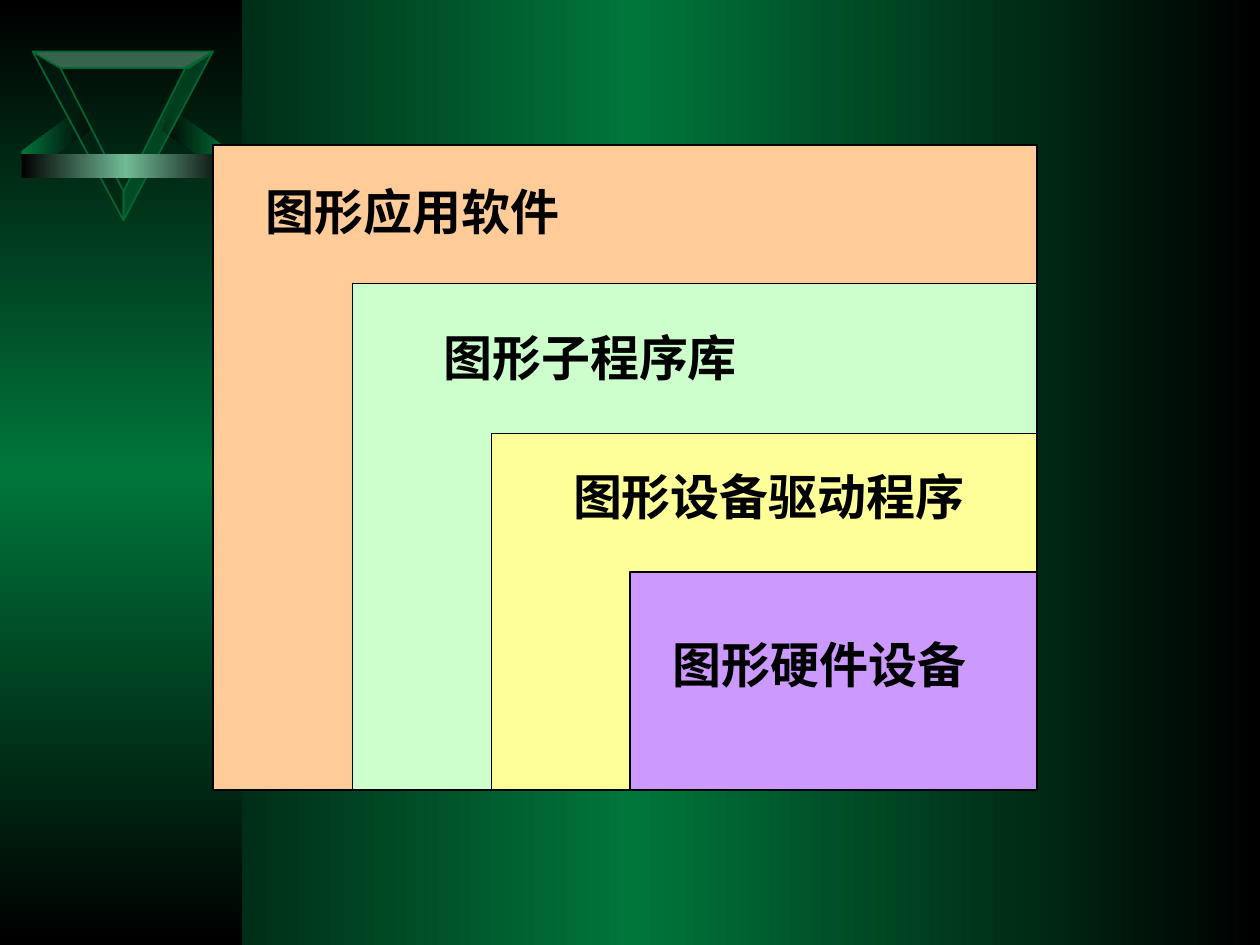
from lxml import etree
from pptx import Presentation
from pptx.dml.color import RGBColor
from pptx.enum.shapes import MSO_SHAPE
from pptx.oxml.ns import qn
from pptx.util import Pt

PX = 9144
RECT = MSO_SHAPE.RECTANGLE
DARK, GREEN, MINT = "000000", "00763B", "71BB96"


def rgb(code):
    """Return the colour of a hex string."""
    return RGBColor.from_string(code)


def blend(owner, fill, codes, angle=0):
    """Fill with evenly spaced gradient stops."""
    fill.gradient()
    grad = owner.element.xpath(".//a:gradFill")[0]
    stops = grad.find(qn("a:gsLst"))
    for old in list(stops):
        stops.remove(old)
    for i, code in enumerate(codes):
        pos = 100000 * i // (len(codes) - 1)
        stop = etree.SubElement(stops, qn("a:gs"), pos=str(pos))
        etree.SubElement(stop, qn("a:srgbClr"), val=code)
    grad.find(qn("a:lin")).set("ang", str(angle * 60000))


def paint(shape, code, line=None, width=1):
    """Set a plain fill and an optional outline."""
    shape.shadow.inherit = False
    if code:
        shape.fill.solid()
        shape.fill.fore_color.rgb = rgb(code)
    if line:
        shape.line.color.rgb = rgb(line)
        shape.line.width = Pt(width)
    else:
        shape.line.fill.background()


def block(slide, x, y, w, h):
    """Add a rectangle."""
    return slide.shapes.add_shape(RECT, x * PX, y * PX, w * PX, h * PX)


def shard(slide, x, y, points):
    """Add a closed outline relative to x and y."""
    spots = [(x + a, y + b) for a, b in points]
    path = slide.shapes.build_freeform(*spots[0], scale=PX)
    path.add_line_segments(spots[1:], close=True)
    return path.convert_to_shape()


def band(slide, x, y, w, h, codes, angle=0):
    """Add a gradient bar without outline."""
    bar = block(slide, x, y, w, h)
    paint(bar, None)
    blend(bar, bar.fill, codes, angle)


def emblem(slide, x, y, w):
    """Draw the triangle ornament with its wings and bar."""
    wing = [(0, 79), (0, 100), (55, 62), (55, 64), (47, 45)]
    flip = [(w - a, b) for a, b in wing]
    for points, codes in ((flip, (DARK, GREEN)), (wing, (GREEN, DARK))):
        part = shard(slide, x, y, points)
        paint(part, None)
        blend(part, part.fill, codes)
    sides = [
        ("002010", [(81, 134), (81, 111), (31, 13), (9, 0)]),
        (MINT, [(9, 0), (31, 13), (133, 13), (152, 0)]),
        ("006633", [(81, 134), (81, 111), (130, 13), (152, 0)]),
    ]
    for code, points in sides:
        part = shard(slide, x, y, points)
        paint(part, code, "006633")
        tint = part.element.xpath("./p:spPr/a:solidFill/a:srgbClr")[0]
        etree.SubElement(tint, qn("a:alpha"), val="50000")
    band(slide, x, y + 81, w, 19, (DARK, MINT, DARK))


def label(slide, x, y, w, text):
    """Add a bold layer name."""
    box = slide.shapes.add_textbox(x * PX, y * PX, w * PX, 57 * PX)
    box.text_frame.word_wrap = True
    para = box.text_frame.paragraphs[0]
    para.text = text
    para.space_before = Pt(17.5)
    font = para.font
    font.name, font.size, font.bold = "Times New Roman", Pt(28), True
    font.color.rgb = rgb("000000")


def layers(slide, x, y, w, h):
    """Nest the layers towards the lower right corner."""
    rows = [
        (0, 0, "FFCC99", 32, 24, 354, "图形应用软件"),
        (111, 110, "CCFFCC", 62, 30, 355, "图形子程序库"),
        (221, 229, "FFFF99", 55, 21, 354, "图形设备驱动程序"),
        (331, 339, "CC99FF", 24, 45, 276, "图形硬件设备"),
    ]
    for left, top, code, *_ in rows:
        paint(block(slide, x + left, y + top, w - left, h - top),
              code, "000000", 0.75)
    for left, top, _, dx, dy, wide, text in rows:
        label(slide, x + left + dx, y + top + dy, wide, text)


def main():
    """Build and save the slide."""
    deck = Presentation()
    deck.slide_width, deck.slide_height = 1000 * PX, 750 * PX
    slide = deck.slides.add_slide(deck.slide_layouts[6])
    blend(slide, slide.background.fill, (DARK, GREEN, DARK))
    band(slide, 0, 0, 192, 750, (DARK, GREEN, DARK), 90)
    emblem(slide, 17, 41, 166)
    layers(slide, 169, 115, 654, 512)
    deck.save("out.pptx")


if __name__ == "__main__":
    main()
